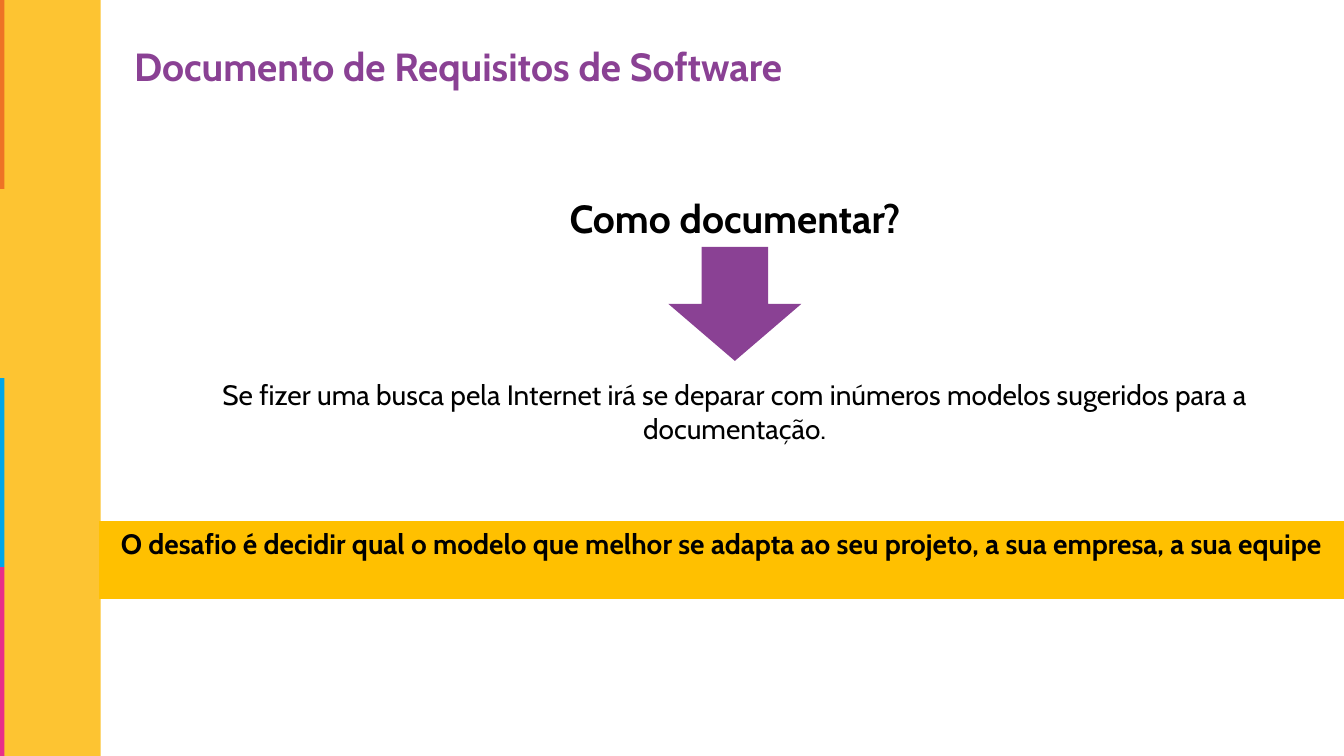
"""Slide on how to document software requirements."""
import pptx
import pptx.util
import pptx.dml.color
import pptx.enum.shapes
import pptx.enum.text

Pt = pptx.util.Pt
RGB = pptx.dml.color.RGBColor
KIND = pptx.enum.shapes.MSO_SHAPE
ALIGN = pptx.enum.text.PP_ALIGN

PURPLE = RGB(0x8A, 0x41, 0x94)
BLACK = RGB(0, 0, 0)
AMBER = RGB(0xFF, 0xC0, 0x00)
YELLOW = RGB(0xFD, 0xC4, 0x32)
ORANGE = RGB(0xEE, 0x73, 0x25)
BLUE = RGB(0x00, 0xA6, 0xE9)
PINK = RGB(0xE8, 0x2E, 0x8A)

WIDE, HIGH = 960, 540
STRIPS = [ORANGE, YELLOW, BLUE, PINK]
SHAPES = [
    (KIND.RECTANGLE, (0, 0, 72, HIGH), YELLOW),
    (KIND.DOWN_ARROW, (477.4, 176.4, 95, 81.4), PURPLE),
]
TITLE = "Documento de Requisitos de Software"
ASK = "Como documentar?"
SEARCH = ("Se fizer uma busca pela Internet irá se deparar com inúmeros "
          "modelos sugeridos para a documentação.")
GOAL = ("O desafio é decidir qual o modelo que melhor se adapta ao seu "
        "projeto, a sua empresa, a sua equipe")
TEXTS = [
    (TITLE, (88.8, 10, 806, 46), 28, True, PURPLE, ALIGN.LEFT, 1.5),
    (ASK, (90, 135.4, 870, 41), 28, True, BLACK, ALIGN.CENTER, 1),
    (SEARCH, (89.8, 266.4, 870, 55.4), 20, False, BLACK, ALIGN.CENTER, 1),
]
BAND = (70.8, 372.2, 889.2, 55.6)


def draw(slide, kind, place, color):
    shape = slide.shapes.add_shape(kind, *map(Pt, place))
    shape.shadow.inherit = False
    shape.fill.solid()
    shape.fill.fore_color.rgb = color
    shape.line.fill.background()
    return shape


def write(shape, text, size, bold, color, align, gap):
    frame = shape.text_frame
    frame.word_wrap = True
    frame.vertical_anchor = pptx.enum.text.MSO_ANCHOR.TOP
    line = frame.paragraphs[0]
    line.text = text
    line.alignment = align
    line.line_spacing = gap
    font = line.font
    font.name, font.size, font.bold = "Cabin", Pt(size), bold
    font.color.rgb = color


def main():
    deck = pptx.Presentation()
    deck.slide_width, deck.slide_height = Pt(WIDE), Pt(HIGH)
    slide = deck.slides.add_slide(deck.slide_layouts[6])
    for kind, place, color in SHAPES:
        draw(slide, kind, place, color)
    step = HIGH / len(STRIPS)
    for row, color in enumerate(STRIPS):
        draw(slide, KIND.RECTANGLE, (0, row * step, 3.2, step), color)
    for text, place, *style in TEXTS:
        write(slide.shapes.add_textbox(*map(Pt, place)), text, *style)
    band = draw(slide, KIND.RECTANGLE, BAND, AMBER)
    write(band, GOAL, 20, True, BLACK, ALIGN.CENTER, 1)
    deck.save("out.pptx")


if __name__ == "__main__":
    main()
